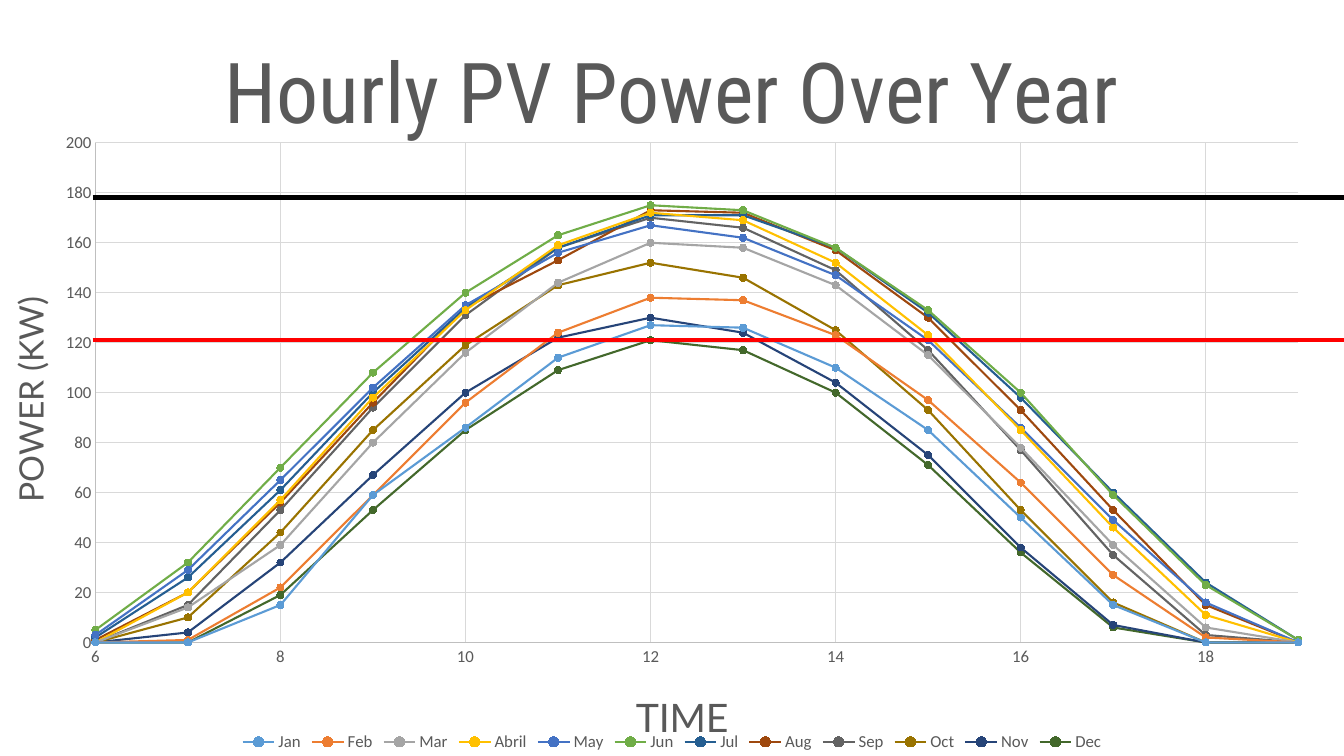
from dataclasses import dataclass

from lxml.etree import SubElement
from pptx import Presentation
from pptx.chart.data import XyChartData
from pptx.dml.color import RGBColor
from pptx.enum.chart import XL_CHART_TYPE, XL_LEGEND_POSITION, XL_MARKER_STYLE, XL_TICK_MARK
from pptx.enum.shapes import MSO_CONNECTOR
from pptx.oxml import parse_xml
from pptx.oxml.ns import nsdecls, qn
from pptx.util import Inches, Pt


@dataclass(frozen=True)
class Theme:
    text: str = "595959"
    axis: str = "BFBFBF"
    grid: str = "D9D9D9"
    peak: str = "000000"
    threshold: str = "FF0000"
    body_font: str = "Calibri"
    axis_font: str = "Lato"
    title_font: str = "Roboto Condensed"
    title_size: int = 60
    time_size: int = 28
    power_size: int = 24
    label_size: int = 12
    thin: float = 0.75
    curve: float = 1.5
    limit: float = 3
    marker: int = 5


THEME = Theme()
SLIDE_W, SLIDE_H = 13.33, 7.5
HOURS = range(6, 20)
PLOT_AREA = {"x": 0.071, "y": 0.189, "w": 0.895, "h": 0.661}
MONTHS = [
    ("Jan", "5B9BD5", [0, 0, 15, 59, 86, 114, 127, 126, 110, 85, 50, 15, 0, 0]),
    ("Feb", "ED7D31", [0, 1, 22, 59, 96, 124, 138, 137, 123, 97, 64, 27, 2, 0]),
    ("Mar", "A5A5A5", [0, 14, 39, 80, 116, 144, 160, 158, 143, 115, 78, 39, 6, 0]),
    ("Abril", "FFC000", [0, 20, 57, 98, 133, 159, 172, 169, 152, 123, 85, 46, 11, 0]),
    ("May", "4472C4", [3, 29, 65, 102, 135, 156, 167, 162, 147, 121, 86, 49, 16, 0]),
    ("Jun", "70AD47", [5, 32, 70, 108, 140, 163, 175, 173, 158, 133, 100, 59, 23, 1]),
    ("Jul", "255E91", [2, 26, 61, 100, 134, 158, 171, 171, 158, 132, 98, 60, 24, 1]),
    ("Aug", "9E480E", [1, 20, 56, 96, 134, 153, 173, 172, 157, 130, 93, 53, 15, 0]),
    ("Sep", "636363", [0, 15, 53, 94, 131, 158, 170, 166, 149, 117, 77, 35, 3, 0]),
    ("Oct", "997300", [0, 10, 44, 85, 119, 143, 152, 146, 125, 93, 53, 16, 0, 0]),
    ("Nov", "264478", [0, 4, 32, 67, 100, 122, 130, 124, 104, 75, 38, 7, 0, 0]),
    ("Dec", "43682B", [0, 0, 19, 53, 85, 109, 121, 117, 100, 71, 36, 6, 0, 0]),
]


def style_font(font, size, name=THEME.body_font):
    font.size = Pt(size)
    font.name = name
    font.bold = False
    font.color.rgb = RGBColor.from_string(THEME.text)


def style_line(line, color, width):
    line.color.rgb = RGBColor.from_string(color)
    line.width = Pt(width)


def set_title(owner, text, size, name):
    tf = owner.text_frame
    tf.text = text
    style_font(tf.paragraphs[0].runs[0].font, size, name)


def style_axis(axis, title, size, low, high, step):
    axis.minimum_scale, axis.maximum_scale, axis.major_unit = low, high, step
    axis.major_tick_mark = axis.minor_tick_mark = XL_TICK_MARK.NONE
    axis.has_major_gridlines = True
    style_line(axis.major_gridlines.format.line, THEME.grid, THEME.thin)
    style_line(axis.format.line, THEME.axis, THEME.thin)
    style_font(axis.tick_labels.font, THEME.label_size)
    axis.tick_labels.number_format = "General"
    axis.tick_labels.number_format_is_linked = False
    set_title(axis.axis_title, title, size, THEME.axis_font)


def style_series(series, color):
    series.smooth = True
    style_line(series.format.line, color, THEME.curve)
    series.marker.style = XL_MARKER_STYLE.CIRCLE
    series.marker.size = THEME.marker
    fmt = series.marker.format
    fmt.fill.solid()
    fmt.fill.fore_color.rgb = RGBColor.from_string(color)
    style_line(fmt.line, color, THEME.thin)


def place_plot(chart):
    plot_area = chart.plots[0]._element.getparent()
    for old in plot_area.findall(qn("c:layout")):
        plot_area.remove(old)
    layout = parse_xml(f"<c:layout {nsdecls('c')}><c:manualLayout/></c:layout>")
    settings = {"layoutTarget": "inner", "xMode": "edge", "yMode": "edge", **PLOT_AREA}
    for tag, value in settings.items():
        SubElement(layout[0], qn(f"c:{tag}")).set("val", str(value))
    plot_area.insert(0, layout)


def add_power_chart(s):
    data = XyChartData()
    for name, _, powers in MONTHS:
        series = data.add_series(name)
        for hour, power in zip(HOURS, powers):
            series.add_data_point(hour, power)
    chart = s.shapes.add_chart(
        XL_CHART_TYPE.XY_SCATTER_SMOOTH, 0, 0, Inches(SLIDE_W), Inches(SLIDE_H), data
    ).chart
    style_font(chart.font, THEME.label_size)
    chart.has_title = True
    set_title(chart.chart_title, "Hourly PV Power Over Year", THEME.title_size, THEME.title_font)
    chart.chart_title.include_in_layout = False
    style_axis(chart.category_axis, "TIME", THEME.time_size, 6, 19, 2)
    style_axis(chart.value_axis, "POWER (KW)", THEME.power_size, 0, 200, 20)
    chart.has_legend = True
    chart.legend.position = XL_LEGEND_POSITION.BOTTOM
    chart.legend.include_in_layout = False
    style_font(chart.legend.font, THEME.label_size)
    plot = chart.plots[0]
    plot.vary_by_categories = False
    for series, (_, color, _) in zip(plot.series, MONTHS):
        style_series(series, color)
    place_plot(chart)


def add_limit_line(s, y, color):
    sp = s.shapes.add_connector(
        MSO_CONNECTOR.STRAIGHT, Inches(0.92), Inches(y), Inches(SLIDE_W), Inches(y)
    )
    style_line(sp.line, color, THEME.limit)
    SubElement(sp._element.spPr, qn("a:effectLst"))


def main():
    prs = Presentation()
    prs.slide_width, prs.slide_height = Inches(SLIDE_W), Inches(SLIDE_H)
    s = prs.slides.add_slide(prs.slide_layouts[6])
    add_power_chart(s)
    add_limit_line(s, 3.37, THEME.threshold)
    add_limit_line(s, 1.96, THEME.peak)
    prs.save("out.pptx")


if __name__ == "__main__":
    main()
